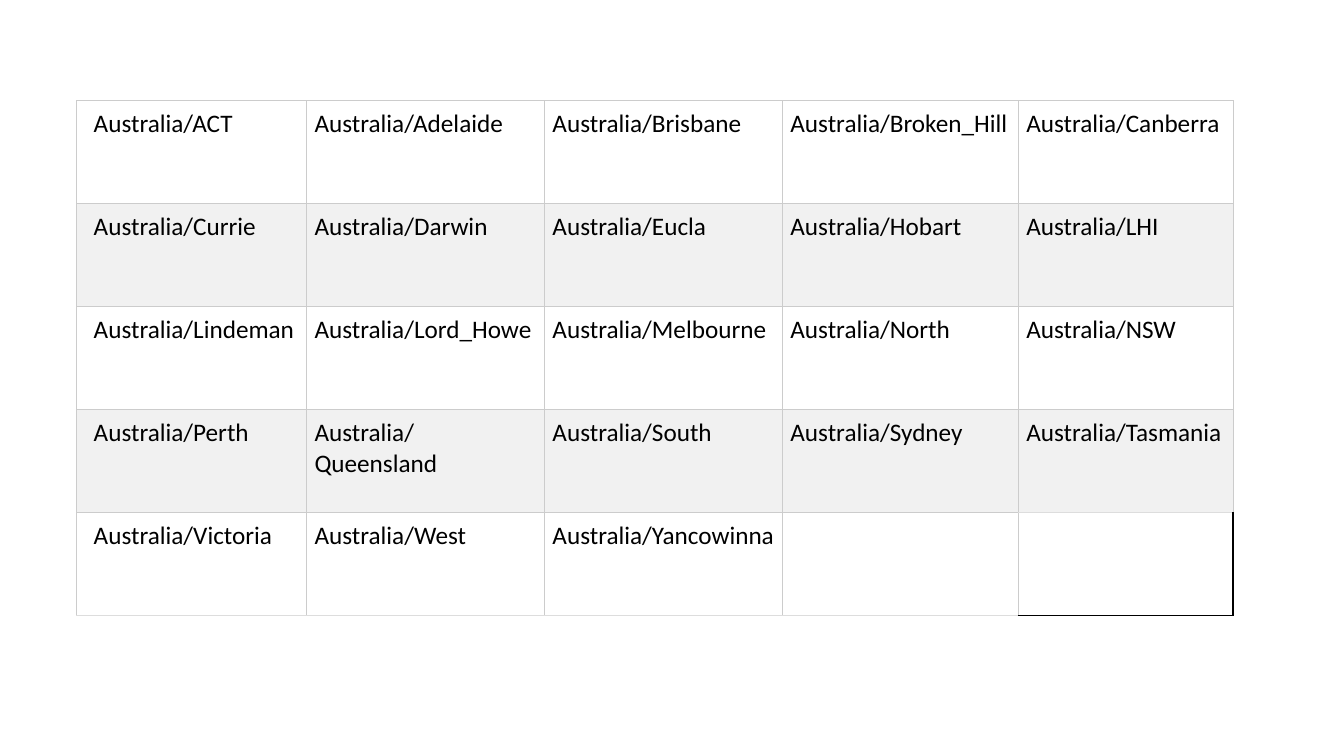
import pptx
import pptx.dml.color
import pptx.oxml
import pptx.oxml.ns
import pptx.util
from lxml import etree

ZONES = [
    ["ACT", "Adelaide", "Brisbane", "Broken_Hill", "Canberra"],
    ["Currie", "Darwin", "Eucla", "Hobart", "LHI"],
    ["Lindeman", "Lord_Howe", "Melbourne", "North", "NSW"],
    ["Perth", "Queensland", "South", "Sydney", "Tasmania"],
    ["Victoria", "West", "Yancowinna"],
]
COLUMN_WIDTHS = [2.28, 2.36, 2.36, 2.34, 2.13]
BAND_FILLS = ["FFFFFF", "F1F1F1"]
GRID, GRID_END, OUTLINE = ("CCCCCC", 0.75), ("DDDDDD", 0.75), ("000000", 1)


def color(hex_code):
    """Return the colour for a hex string."""
    return pptx.dml.color.RGBColor.from_string(hex_code)


def set_borders(cell, borders):
    """Draw the left, right, top and bottom borders of a cell."""
    properties = cell._tc.get_or_add_tcPr()
    for index, (side, (hex_code, width)) in enumerate(zip("LRTB", borders)):
        line = pptx.oxml.parse_xml(
            f'<a:ln{side} {pptx.oxml.ns.nsdecls("a")} w="{pptx.util.Pt(width)}"/>')
        fill = etree.SubElement(line, pptx.oxml.ns.qn("a:solidFill"))
        etree.SubElement(fill, pptx.oxml.ns.qn("a:srgbClr"), val=hex_code)
        properties.insert(index, line)


def write_zone(cell, zone, indent):
    """Write one time zone name with its cell margins."""
    cell.margin_left = pptx.util.Inches(indent)
    cell.margin_right = cell.margin_top = cell.margin_bottom = pptx.util.Inches(0.08)
    name = cell.text_frame.paragraphs[0].add_run()
    name.text = f"Australia/{zone}"
    name.font.name = "Calibri"
    name.font.size = pptx.util.Pt(18)
    name.font.color.rgb = color("000000")


def add_zone_table(slide, left, top, width, height):
    """Fill the given box with the table of time zones."""
    row_count, column_count = len(ZONES), len(COLUMN_WIDTHS)
    zone_table = slide.shapes.add_table(
        row_count, column_count, left, top, width, height).table
    zone_table.first_row = zone_table.horz_banding = False
    for column, share in zip(zone_table.columns, COLUMN_WIDTHS):
        column.width = int(width * share / sum(COLUMN_WIDTHS))
    last_row, last_column = row_count - 1, column_count - 1
    for row, zones in enumerate(ZONES):
        for column in range(column_count):
            cell = zone_table.cell(row, column)
            if column < len(zones):
                write_zone(cell, zones[column], 0.08 if column else 0.17)
            if (row, column) == (last_row, last_column):
                cell.fill.background()
                set_borders(cell, [GRID, OUTLINE, GRID_END, OUTLINE])
                continue
            cell.fill.solid()
            cell.fill.fore_color.rgb = color(BAND_FILLS[row % 2])
            above_corner = (row, column) == (last_row - 1, last_column)
            bottom = GRID_END if row == last_row or above_corner else GRID
            set_borders(cell, [GRID, GRID, GRID, bottom])


def build_deck():
    """Build the time zone slide and save it."""
    deck = pptx.Presentation()
    deck.slide_width = pptx.util.Inches(13.33)
    deck.slide_height = pptx.util.Inches(7.5)
    slide = deck.slides.add_slide(deck.slide_layouts[6])
    add_zone_table(slide, pptx.util.Inches(0.76), pptx.util.Inches(1),
                   pptx.util.Inches(sum(COLUMN_WIDTHS)), pptx.util.Inches(5.11))
    deck.save("out.pptx")


build_deck()
